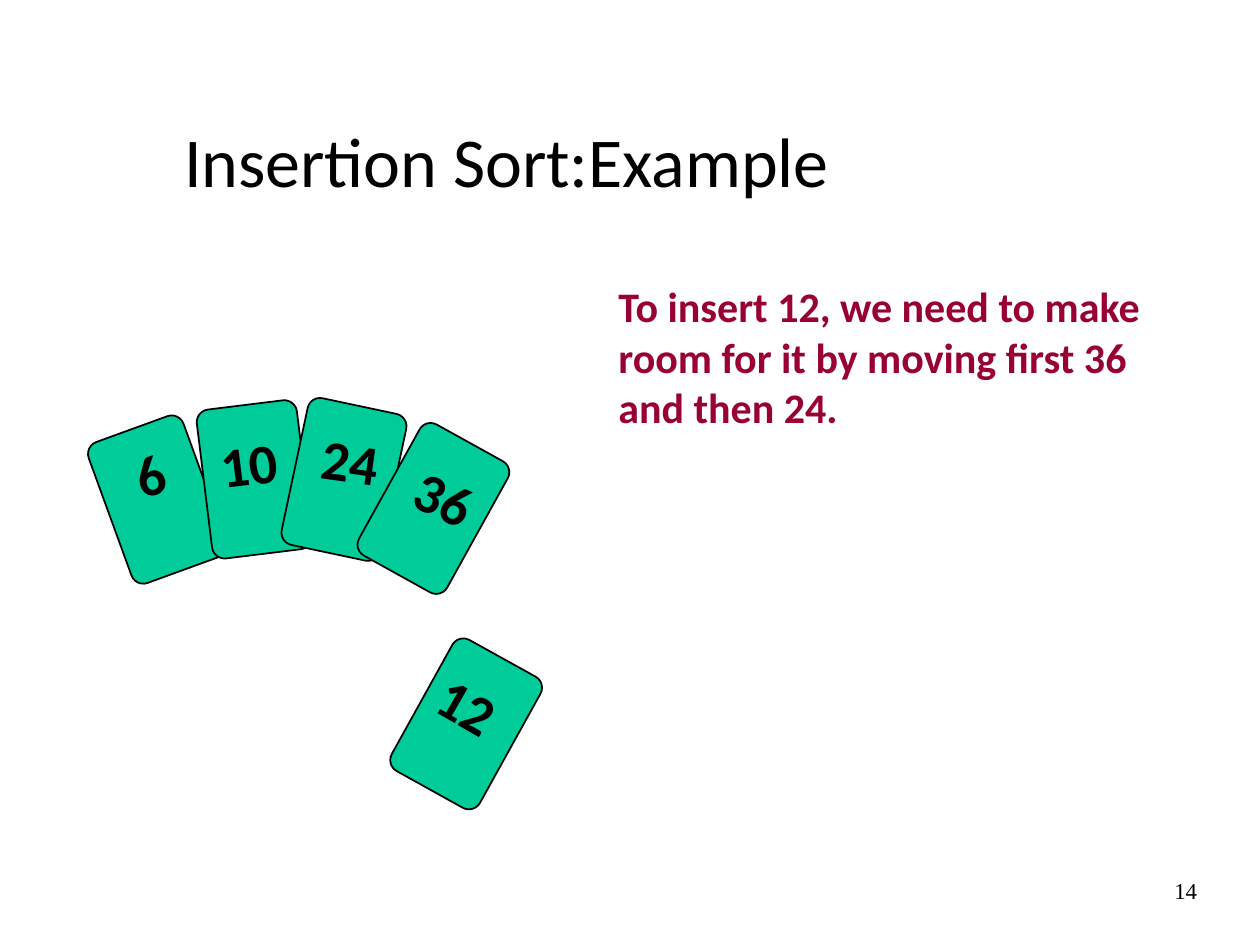
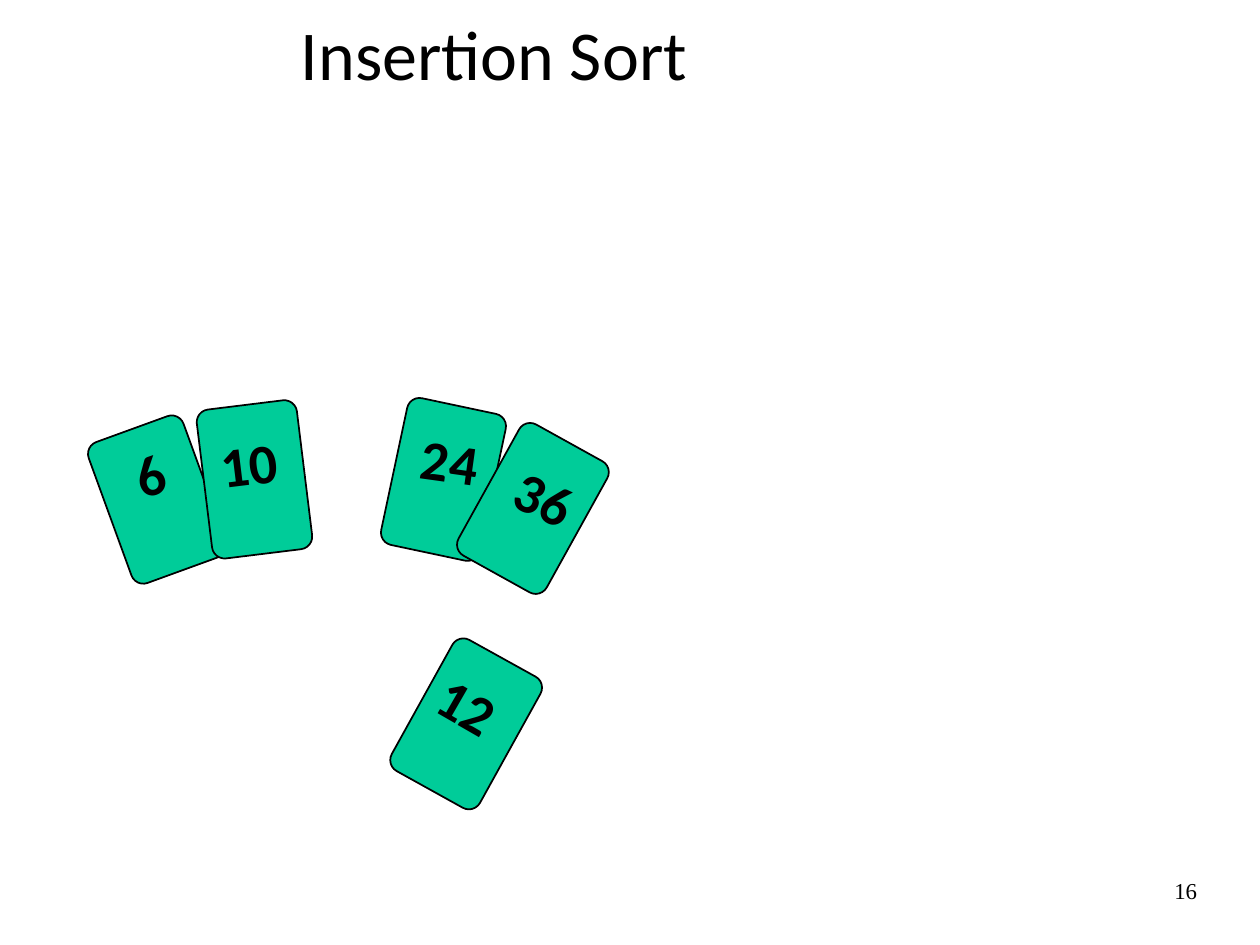
from pptx import Presentation
from pptx.dml.color import RGBColor
from pptx.enum.shapes import MSO_SHAPE
from pptx.enum.text import MSO_ANCHOR, MSO_AUTO_SIZE, PP_ALIGN
from pptx.util import Inches, Pt

ROUNDED = MSO_SHAPE.ROUNDED_RECTANGLE
BOTTOM = MSO_ANCHOR.BOTTOM
NO_FIT, GROW = MSO_AUTO_SIZE.NONE, MSO_AUTO_SIZE.SHAPE_TO_FIT_TEXT
LEFT, CENTER, RIGHT = PP_ALIGN.LEFT, PP_ALIGN.CENTER, PP_ALIGN.RIGHT
TITLE_ONLY = 5

COLORS = {"ink": "000000", "card": "00CC99", "note": "990033"}

# Font settings for each role of text
FONTS = {
    "title": {"name": "Calibri", "size": Pt(40), "bold": False},
    "note": {"name": "Calibri", "size": Pt(24), "bold": True},
    "value": {"name": "Calibri", "size": Pt(32), "bold": True},
    "page": {"name": "Times New Roman", "size": Pt(13), "bold": False},
}

CARD_SIZE = (0.8, 1.19)
CORNER = 0.125
LABEL_HEIGHT = 0.63

# value: (card left, top, rotation), (label left, top, width, rotation)
CARDS = {
    "6": ((0.85, 3.37, 340), (0.98, 3.44, 0.43, 341)),
    "10": ((1.62, 3.21, 353), (1.65, 3.36, 0.65, 353)),
    "24": ((2.33, 3.21, 12), (2.46, 3.34, 0.65, 8)),
    "36": ((3.04, 3.44, 29), (3.21, 3.63, 0.65, 25)),
    "12": ((3.3, 5.15, 29), (3.39, 5.28, 0.65, 30)),
}
MOVED_VALUES = ("24", "36")
MOVE_STEP = 0.79


def rgb(color):
    return RGBColor.from_string(COLORS[color])


def write(frame, text, role, color="ink", align=LEFT, spacing=None):
    paragraph = frame.paragraphs[0]
    paragraph.text = text
    paragraph.alignment = align
    paragraph.line_spacing = spacing
    for setting, value in FONTS[role].items():
        setattr(paragraph.font, setting, value)
    paragraph.font.color.rgb = rgb(color)


def add_title(slide, text, left, top, width, height):
    title = slide.shapes.title
    title.left, title.top = Inches(left), Inches(top)
    title.width, title.height = Inches(width), Inches(height)
    frame = title.text_frame
    frame.vertical_anchor = BOTTOM
    frame.auto_size = NO_FIT
    write(frame, text, "title", align=CENTER, spacing=0.97)


def add_text(slide, left, top, width, height, wrap=True, fit=GROW):
    box = slide.shapes.add_textbox(
        Inches(left), Inches(top), Inches(width), Inches(height))
    box.text_frame.word_wrap = wrap
    box.text_frame.auto_size = fit
    return box


def add_page_number(slide, number):
    frame = add_text(slide, 7.17, 7, 2.33, 0.35, fit=NO_FIT).text_frame
    for side in ("left", "top", "right", "bottom"):
        setattr(frame, f"margin_{side}", 0)
    write(frame, str(number), "page", align=RIGHT, spacing=0.78)


def add_note(slide, text):
    note = add_text(slide, 4.81, 2.18, 4.66, 1.3)
    write(note.text_frame, text, "note", "note")


def add_card(slide, left, top, rotation):
    width, height = CARD_SIZE
    card = slide.shapes.add_shape(
        ROUNDED, Inches(left), Inches(top), Inches(width), Inches(height))
    card.adjustments[0] = CORNER
    card.rotation = rotation
    card.shadow.inherit = False
    card.fill.solid()
    card.fill.fore_color.rgb = rgb("card")
    card.line.color.rgb = rgb("ink")
    card.line.width = Pt(1)


def add_value(slide, value, left, top, width, rotation):
    label = add_text(slide, left, top, width, LABEL_HEIGHT, wrap=False)
    label.rotation = rotation
    write(label.text_frame, value, "value")


def add_hand(slide, shift=0):
    """Fan out the cards, with the larger values moved right by shift."""
    offsets = {value: shift if value in MOVED_VALUES else 0 for value in CARDS}
    for value, ((left, top, rotation), _) in CARDS.items():
        add_card(slide, left + offsets[value], top, rotation)
    for value, (_, (left, top, width, rotation)) in CARDS.items():
        add_value(slide, value, left + offsets[value], top, width, rotation)


def main():
    deck = Presentation()
    deck.slide_width, deck.slide_height = Inches(10), Inches(7.5)
    layout = deck.slide_layouts[TITLE_ONLY]

    # 12 is about to be inserted
    example = deck.slides.add_slide(layout)
    add_title(example, "Insertion Sort:Example", 0.56, 0.68, 6.92, 0.99)
    add_page_number(example, 14)
    add_note(example, "To insert 12, we need to make room for it "
                      "by moving first 36 and then 24.")
    add_hand(example)

    # 24 and 36 have made room
    room_made = deck.slides.add_slide(layout)
    add_title(room_made, "Insertion Sort", 0.37, 0.25, 7.1, 0.57)
    add_page_number(room_made, 16)
    add_hand(room_made, MOVE_STEP)

    deck.save("out.pptx")


if __name__ == "__main__":
    main()
